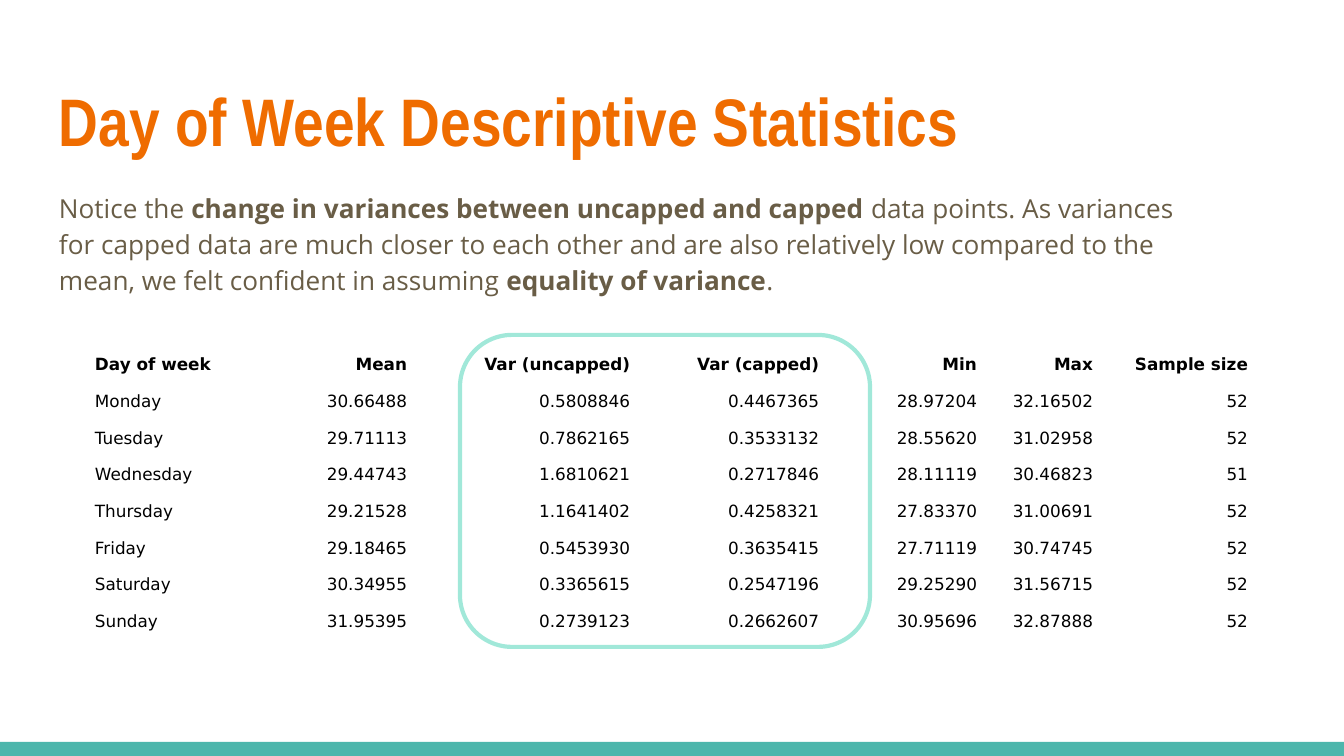
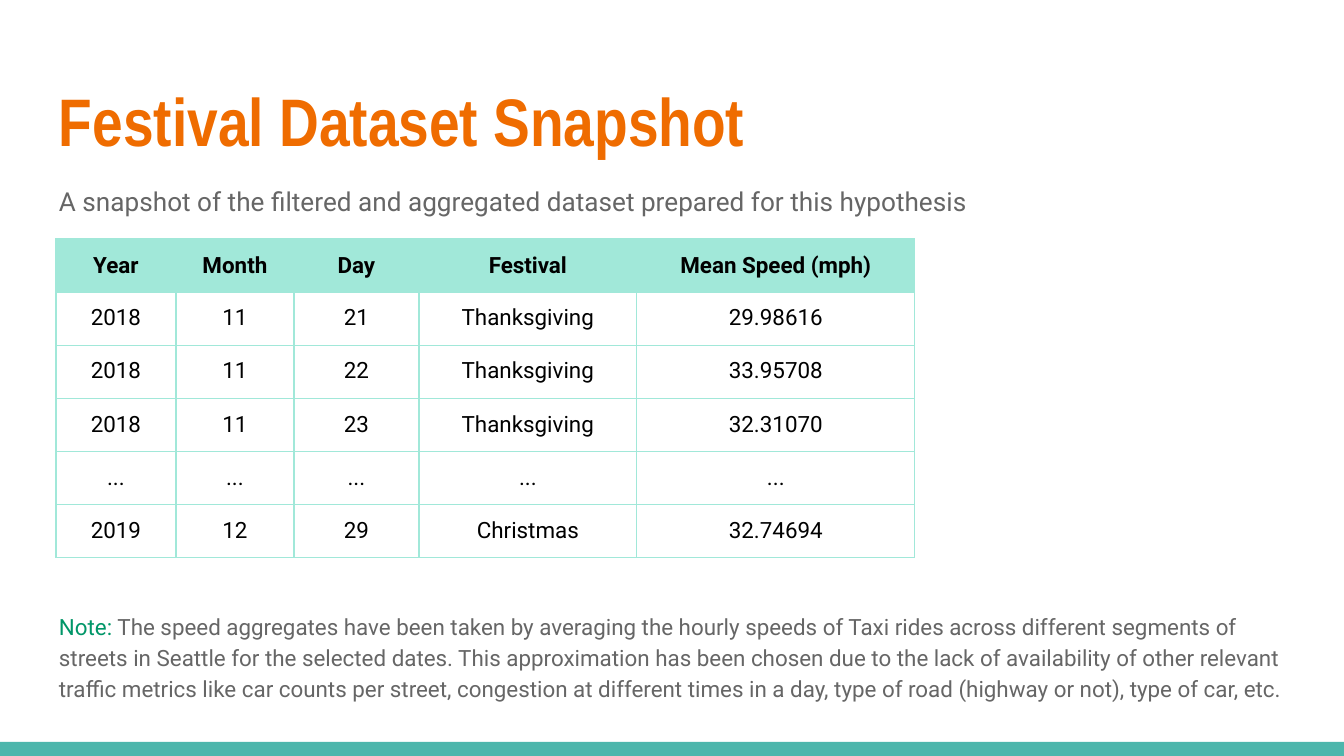
from lxml.etree import SubElement
from pptx import Presentation
from pptx.dml.color import RGBColor
from pptx.enum.shapes import MSO_SHAPE
from pptx.enum.text import MSO_ANCHOR, PP_ALIGN
from pptx.oxml.ns import qn
from pptx.util import Pt

EMU_PER_PX = 914400 / 134.4
SLIDE_WIDTH, SLIDE_HEIGHT = 1344, 756
LEFT, CONTENT_WIDTH, INSET = 46, 1253, 13

COLORS = {
    "white": "FFFFFF",
    "black": "000000",
    "orange": "EF6C00",
    "teal": "4DB6AC",
    "mint": "A1E8D9",
    "brown": "695D46",
    "gray": "666666",
    "green": "009668",
}

WEEKDAY_ROWS = [
    ["Day of week", "Mean", "Var (uncapped)", "Var (capped)", "Min", "Max", "Sample size"],
    ["Monday", "30.66488", "0.5808846", "0.4467365", "28.97204", "32.16502", "52"],
    ["Tuesday", "29.71113", "0.7862165", "0.3533132", "28.55620", "31.02958", "52"],
    ["Wednesday", "29.44743", "1.6810621", "0.2717846", "28.11119", "30.46823", "51"],
    ["Thursday", "29.21528", "1.1641402", "0.4258321", "27.83370", "31.00691", "52"],
    ["Friday", "29.18465", "0.5453930", "0.3635415", "27.71119", "30.74745", "52"],
    ["Saturday", "30.34955", "0.3365615", "0.2547196", "29.25290", "31.56715", "52"],
    ["Sunday", "31.95395", "0.2739123", "0.2662607", "30.95696", "32.87888", "52"],
]

FESTIVAL_ROWS = [
    ["Year", "Month", "Day", "Festival", "Mean Speed (mph)"],
    ["2018", "11", "21", "Thanksgiving", "29.98616"],
    ["2018", "11", "22", "Thanksgiving", "33.95708"],
    ["2018", "11", "23", "Thanksgiving", "32.31070"],
    ["..."] * 5,
    ["2019", "12", "29", "Christmas", "32.74694"],
]


def px(length):
    return round(length * EMU_PER_PX)


def color(name):
    return RGBColor.from_string(COLORS[name])


def add_text(paragraph, text, size, font, fill, bold=False):
    run = paragraph.add_run()
    run.text = text
    run.font.size = Pt(size)
    run.font.name = font
    run.font.bold = bold
    run.font.color.rgb = color(fill)


def set_insets(target, side, top, bottom):
    target.margin_left = target.margin_right = px(side)
    target.margin_top, target.margin_bottom = px(top), px(bottom)


def add_slide(presentation, title):
    slide = presentation.slides.add_slide(presentation.slide_layouts[5])
    band = slide.shapes.add_shape(
        MSO_SHAPE.RECTANGLE, 0, px(742), px(SLIDE_WIDTH), px(SLIDE_HEIGHT - 742))
    band.shadow.inherit = False
    band.fill.solid()
    band.fill.fore_color.rgb = color("teal")
    band.line.fill.background()

    shape = slide.shapes.title
    shape.left, shape.top = px(LEFT), px(66)
    shape.width, shape.height = px(CONTENT_WIDTH), px(103)
    frame = shape.text_frame
    set_insets(frame, INSET, INSET, INSET)
    frame.vertical_anchor = MSO_ANCHOR.TOP
    paragraph = frame.paragraphs[0]
    paragraph.alignment = PP_ALIGN.LEFT
    add_text(paragraph, title, 36, "Arial Narrow", "orange", bold=True)
    return slide


def add_body(slide, left, top, width, height):
    frame = slide.shapes.add_textbox(px(left), px(top), px(width), px(height)).text_frame
    frame.word_wrap = True
    set_insets(frame, INSET, INSET, INSET)
    frame.paragraphs[0].line_spacing = 1.15
    return frame


def add_table(slide, left, top, widths, header_height, body_height, rows, format_cell):
    table = slide.shapes.add_table(
        len(rows), len(widths), px(left), px(top),
        px(sum(widths)), px(header_height + body_height)).table
    table.first_row = table.horz_banding = False
    for column, width in zip(table.columns, widths):
        column.width = px(width)
    for index, row in enumerate(table.rows):
        row.height = px(body_height) // (len(rows) - 1) if index else px(header_height)
    for row_index, values in enumerate(rows):
        for column_index, value in enumerate(values):
            format_cell(table.cell(row_index, column_index), value,
                        row_index == 0, column_index == 0)


def format_weekday_cell(cell, value, is_header, is_first):
    set_insets(cell, 8, 13 if is_header else 3, 4 if is_header else 3)
    cell.fill.solid()
    cell.fill.fore_color.rgb = color("white")
    paragraph = cell.text_frame.paragraphs[0]
    paragraph.line_spacing = 1.15
    paragraph.alignment = PP_ALIGN.LEFT if is_first else PP_ALIGN.RIGHT
    add_text(paragraph, value, 9, "DejaVu Sans", "black", bold=is_header)


def add_borders(cell, fill, width):
    properties = cell._tc.get_or_add_tcPr()
    for side in ("a:lnL", "a:lnR", "a:lnT", "a:lnB"):
        line = SubElement(properties, qn(side), w=str(Pt(width)))
        solid = SubElement(line, qn("a:solidFill"))
        SubElement(solid, qn("a:srgbClr"), val=COLORS[fill])


def format_festival_cell(cell, value, is_header, is_first):
    set_insets(cell, INSET, INSET, INSET)
    add_borders(cell, "mint", 0.75)
    if is_header:
        cell.vertical_anchor = MSO_ANCHOR.MIDDLE
        cell.fill.solid()
        cell.fill.fore_color.rgb = color("mint")
    else:
        cell.fill.background()
    paragraph = cell.text_frame.paragraphs[0]
    paragraph.alignment = PP_ALIGN.CENTER
    add_text(paragraph, value, 12, "Roboto", "black", bold=is_header)


def add_variance_outline(slide, left, top, width, height):
    outline = slide.shapes.add_shape(
        MSO_SHAPE.ROUNDED_RECTANGLE, px(left), px(top), px(width), px(height))
    outline.shadow.inherit = False
    outline.fill.background()
    outline.line.color.rgb = color("mint")
    outline.line.width = Pt(2.25)


def build_weekday_slide(presentation):
    slide = add_slide(presentation, "Day of Week Descriptive Statistics")
    add_table(slide, 87, 339, [156, 172, 223, 189, 158, 116, 155], 47, 257,
              WEEKDAY_ROWS, format_weekday_cell)
    add_variance_outline(slide, 460, 335, 410, 312)
    paragraph = add_body(slide, LEFT, 175, 1167, 122).paragraphs[0]
    for text, bold in [
        ("Notice the ", False),
        ("change in variances between uncapped and capped", True),
        (" data points. As variances for capped data are much closer to each other "
         "and are also relatively low compared to the mean, we felt confident in "
         "assuming ", False),
        ("equality of variance", True),
        (".", False),
    ]:
        add_text(paragraph, text, 14, "Open Sans", "brown", bold=bold)


def build_festival_slide(presentation):
    slide = add_slide(presentation, "Festival Dataset Snapshot")
    frame = add_body(slide, LEFT, 168, CONTENT_WIDTH, 566)
    add_text(frame.paragraphs[0],
             "A snapshot of the filtered and aggregated dataset prepared for this hypothesis",
             14, "Roboto", "gray")
    note = frame.add_paragraph()
    note.line_spacing = 1.15
    note.space_before = Pt(210)
    add_text(note, "Note:", 12, "Roboto", "green")
    add_text(note,
             " The speed aggregates have been taken by averaging the hourly speeds of "
             "Taxi rides across different segments of streets in Seattle for the selected "
             "dates. This approximation has been chosen due to the lack of availability of "
             "other relevant traffic metrics like car counts per street, congestion at "
             "different times in a day, type of road (highway or not), type of car, etc.",
             12, "Roboto", "gray")
    add_table(slide, 56, 239, [120, 118, 125, 218, 278], 53, 266,
              FESTIVAL_ROWS, format_festival_cell)


def main():
    presentation = Presentation()
    presentation.slide_width = px(SLIDE_WIDTH)
    presentation.slide_height = px(SLIDE_HEIGHT)
    build_weekday_slide(presentation)
    build_festival_slide(presentation)
    presentation.save("out.pptx")


if __name__ == "__main__":
    main()
